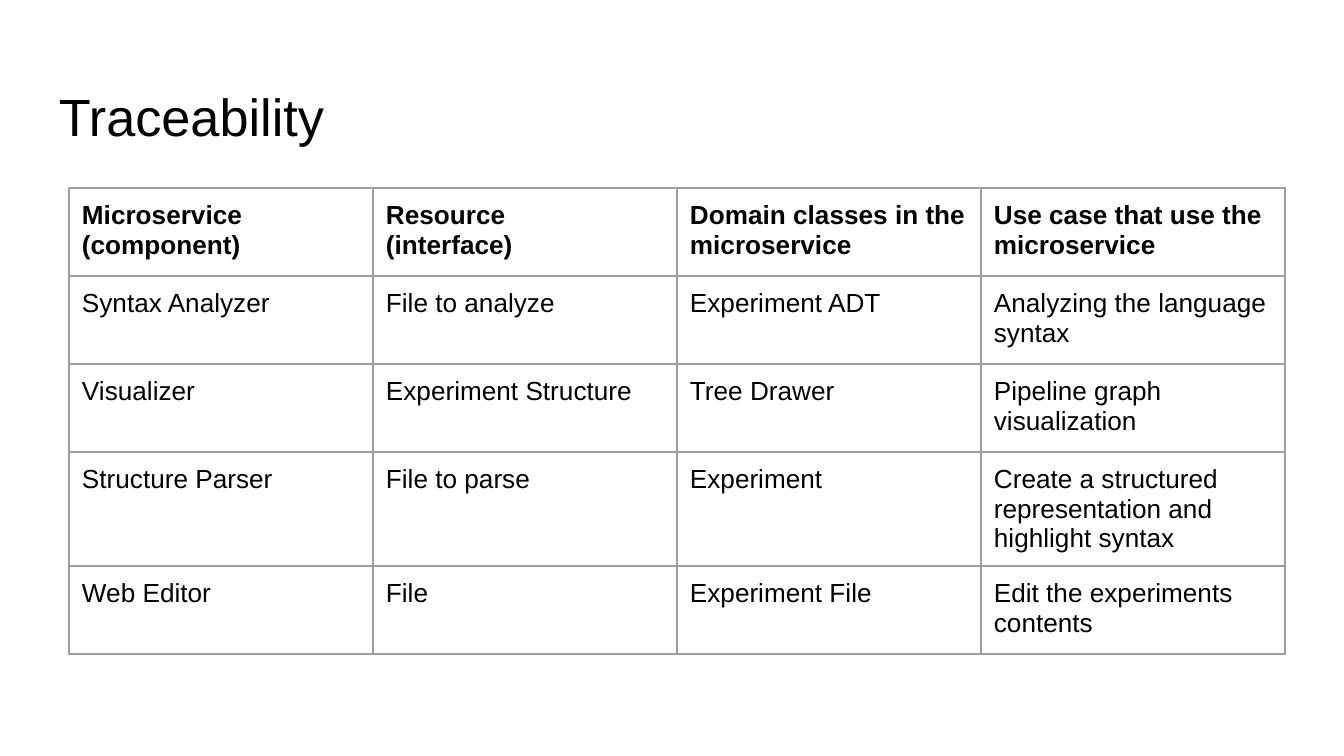
"""Build the Traceability slide: a title above a table of microservices."""
import copy

import pptx
import pptx.dml.color
import pptx.enum.text
import pptx.oxml
import pptx.oxml.ns
import pptx.util

EMU_PER_PX = 914400 / 134.4
COLORS = {"background": "FFFFFF", "text": "000000", "border": "9E9E9E"}
FONT = {"name": "Arial"}
BORDER_POINTS = 0.75
MARGIN = 13
COLUMN_WIDTH = 304
ROW_HEIGHT = 88
ROWS = [
    ["Microservice\v(component)", "Resource\v(interface)",
     "Domain classes in the microservice", "Use case that use the microservice"],
    ["Syntax Analyzer", "File to analyze", "Experiment ADT", "Analyzing the language syntax"],
    ["Visualizer", "Experiment Structure", "Tree Drawer", "Pipeline graph visualization"],
    ["Structure Parser", "File to parse", "Experiment",
     "Create a structured representation and highlight syntax"],
    ["Web Editor", "File", "Experiment File", "Edit the experiments contents"],
]


def px(length):
    return pptx.util.Emu(round(length * EMU_PER_PX))


def color(name):
    return pptx.dml.color.RGBColor.from_string(COLORS[name])


def set_attributes(target, values):
    for name, value in values.items():
        setattr(target, name, value)


def set_margins(target, **changes):
    margins = dict.fromkeys(["left", "top", "right", "bottom"], MARGIN) | changes
    set_attributes(target, {f"margin_{side}": px(size) for side, size in margins.items()})


def format_text(text_frame, size, bold=False):
    for paragraph in text_frame.paragraphs:
        paragraph.alignment = pptx.enum.text.PP_ALIGN.LEFT
        for run in paragraph.runs:
            set_attributes(run.font, FONT | {"size": pptx.util.Pt(size), "bold": bold})
            run.font.color.rgb = color("text")
        for line_break in paragraph._p.findall(pptx.oxml.ns.qn("a:br")):
            line_break.insert(0, copy.deepcopy(paragraph.runs[0].font._element))


def set_borders(cell):
    properties = cell._tc.get_or_add_tcPr()
    for position, side in enumerate(["lnL", "lnR", "lnT", "lnB"]):
        line = pptx.oxml.parse_xml(
            f'<a:{side} {pptx.oxml.ns.nsdecls("a")} w="{pptx.util.Pt(BORDER_POINTS)}">'
            f'<a:solidFill><a:srgbClr val="{COLORS["border"]}"/></a:solidFill></a:{side}>'
        )
        properties.insert(position, line)


def add_title(slide, text):
    title = slide.shapes.title
    set_attributes(title, {"left": px(46), "top": px(66), "width": px(1252), "height": px(85)})
    text_frame = title.text_frame
    text_frame.text = text
    set_attributes(text_frame, {
        "word_wrap": True,
        "auto_size": pptx.enum.text.MSO_AUTO_SIZE.NONE,
        "vertical_anchor": pptx.enum.text.MSO_ANCHOR.TOP,
    })
    set_margins(text_frame, top=18, bottom=5)
    format_text(text_frame, 28)


def fill_cell(cell, text, bold):
    cell.text = text
    set_margins(cell)
    cell.vertical_anchor = pptx.enum.text.MSO_ANCHOR.TOP
    cell.fill.background()
    set_borders(cell)
    format_text(cell.text_frame, 14, bold)


def add_traceability_table(slide):
    row_count, column_count = len(ROWS), len(ROWS[0])
    table = slide.shapes.add_table(
        row_count, column_count, px(69), px(188),
        px(COLUMN_WIDTH * column_count), px(ROW_HEIGHT * row_count),
    ).table
    set_attributes(table, {"first_row": False, "horz_banding": False})
    for column in table.columns:
        column.width = px(COLUMN_WIDTH)
    for row_index, (row, texts) in enumerate(zip(table.rows, ROWS)):
        row.height = px(ROW_HEIGHT)
        for cell, text in zip(row.cells, texts):
            fill_cell(cell, text, bold=row_index == 0)


def main():
    presentation = pptx.Presentation()
    set_attributes(presentation, {"slide_width": px(1344), "slide_height": px(756)})
    slide = presentation.slides.add_slide(presentation.slide_layouts[5])
    slide.background.fill.solid()
    slide.background.fill.fore_color.rgb = color("background")
    add_title(slide, "Traceability")
    add_traceability_table(slide)
    presentation.save("out.pptx")


if __name__ == "__main__":
    main()
